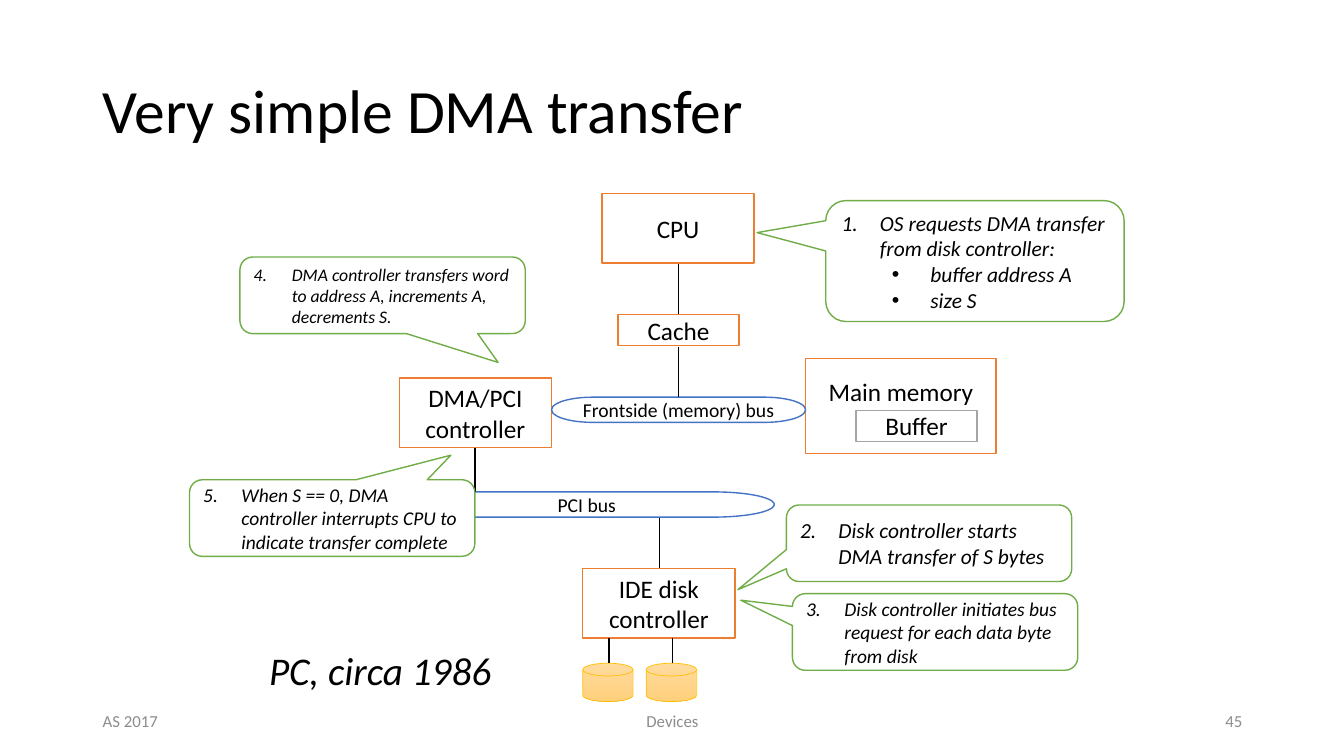
from pptx import Presentation
from pptx.dml.color import RGBColor
from pptx.enum.shapes import MSO_CONNECTOR, MSO_SHAPE as SHAPE
from pptx.enum.text import MSO_ANCHOR, PP_ALIGN as ALIGN
from pptx.oxml.ns import qn
from pptx.util import Inches, Pt
from lxml.etree import SubElement

COLOURS = {
    "text": "000000", "footer": "8C8C8C", "paper": "FFFFFF",
    "unit": "ED7D31", "buffer": "A5A5A5", "bus": "4472C4",
    "callout": "70AD47", "disk": "FFC000",
    "disk top": "FFDB9E", "disk bottom": "FFD07C",
}

UNITS = [  # text, left, top, width, height, line colour, bottom inset
    ("CPU", 5.97, 1.92, 1.51, 0.69, "unit", 0.05),
    ("Cache", 6.13, 3.12, 1.2, 0.31, "unit", 0.05),
    ("Main memory", 7.99, 3.56, 1.89, 0.94, "unit", 0.35),
    ("Buffer", 8.49, 4.07, 1.2, 0.31, "buffer", 0.05),
    ("DMA/PCI\ncontroller", 3.96, 3.75, 1.51, 0.69, "unit", 0.05),
    ("IDE disk controller", 5.78, 5.64, 1.51, 0.69, "unit", 0.05),
]
BUSES = [
    ("PCI bus", 3.96, 4.88, 3.72, 0.25),
    ("Frontside (memory) bus", 5.47, 3.94, 2.52, 0.25),
]
WIRES = [  # x, top, bottom
    (6.73, 2.62, 3.12), (6.73, 3.44, 3.94), (4.71, 4.44, 4.88),
    (6.54, 5.14, 5.64), (6.04, 6.33, 6.58), (6.67, 6.33, 6.58),
]
STEPS = [  # box, pointer offset, text size, step text, sub-points
    ((8.19, 1.99, 2.96, 1.2), (-0.73, -0.235), 15.3,
     "OS requests DMA transfer from disk controller:",
     ["buffer address A", "size S"]),
    ((7.8, 5.01, 2.83, 0.76), (-0.67, 0.606), 15.3,
     "Disk controller starts DMA transfer of S bytes", []),
    ((7.86, 5.89, 2.83, 0.76), (-0.681, -0.415), 13.9,
     "Disk controller initiates bus request for each data byte from disk", []),
    ((2.38, 2.55, 2.83, 0.76), (0.405, 0.877), 12.6,
     "DMA controller transfers word to address A, increments A, decrements S.", []),
    ((1.88, 4.76, 2.83, 0.76), (0.416, -0.821), 13.9,
     "When S == 0, DMA controller interrupts CPU to indicate transfer complete", []),
]
FOOTERS = [
    ("AS 2017", 0.92, 3, ALIGN.LEFT),
    ("Devices", 4.42, 4.5, ALIGN.CENTER),
    ("45", 9.42, 3, ALIGN.RIGHT),
]


def colour(name):
    return RGBColor.from_string(COLOURS[name])


def inches(values):
    return [Inches(value) for value in values]


def write(shape, lines, size, align=ALIGN.CENTER, ink="text", italic=False,
          wrap=True, anchor=MSO_ANCHOR.MIDDLE, spacing=None):
    """Fill the shape with one paragraph per line and return the paragraphs."""
    frame = shape.text_frame
    frame.text = "\n".join(lines)
    frame.word_wrap = wrap
    frame.vertical_anchor = anchor
    font_format = {"name": "Calibri", "size": Pt(size), "italic": italic}
    for paragraph in frame.paragraphs:
        paragraph.alignment = align
        if spacing:
            paragraph.line_spacing = spacing
        for run in paragraph.runs:
            for attribute, value in font_format.items():
                setattr(run.font, attribute, value)
            run.font.color.rgb = colour(ink)
    return frame.paragraphs


def add_outlined(slide, kind, box, line, width=1):
    shape = slide.shapes.add_shape(kind, *inches(box))
    shape.shadow.inherit = False
    shape.fill.solid()
    shape.fill.fore_color.rgb = colour("paper")
    shape.line.color.rgb = colour(line)
    shape.line.width = Pt(width)
    return shape


def add_label(slide, text, box, size, **text_format):
    write(slide.shapes.add_textbox(*inches(box)), [text], size, **text_format)


def add_disk(slide, left):
    disk = add_outlined(slide, SHAPE.FLOWCHART_MAGNETIC_DISK,
                        (left, 6.58, 0.5, 0.38), "disk", 0.5)
    disk.fill.gradient()
    disk.fill.gradient_angle = 270
    for stop, name in zip(disk.fill.gradient_stops, ("disk top", "disk bottom")):
        stop.color.rgb = colour(name)


def add_wire(slide, x, top, bottom):
    wire = slide.shapes.add_connector(MSO_CONNECTOR.STRAIGHT,
                                      *inches((x, top, x, bottom)))
    wire.line.color.rgb = colour("text")
    wire.line.width = Pt(1)
    SubElement(wire.element.spPr, qn("a:effectLst"))


def set_bullet(paragraph, indent, tag, **attributes):
    """Give the paragraph a hanging bullet or number."""
    properties = paragraph._p.get_or_add_pPr()
    properties.set("marL", str(Inches(indent)))
    properties.set("indent", str(-Inches(0.38)))
    font = "Arial" if tag == "a:buChar" else "Calibri"
    SubElement(properties, qn("a:buFont"), typeface=font)
    SubElement(properties, qn(tag), **attributes)


def add_step(slide, number, box, pointer, size, text, points):
    callout = add_outlined(slide, SHAPE.ROUNDED_RECTANGULAR_CALLOUT, box, "callout")
    for index, value in enumerate((*pointer, 0.167)):
        callout.adjustments[index] = value
    heading, *bullets = write(callout, [text, *points], size, ALIGN.LEFT, italic=True)
    set_bullet(heading, 0.38, "a:buAutoNum", type="arabicPeriod", startAt=str(number))
    for paragraph in bullets:
        paragraph.level = 1
        set_bullet(paragraph, 0.88, "a:buChar", char="•")


def main():
    presentation = Presentation()
    presentation.slide_width = Inches(13.33)
    presentation.slide_height = Inches(7.5)
    slide = presentation.slides.add_slide(presentation.slide_layouts[6])

    add_label(slide, "Very simple DMA transfer", (0.92, 0.4, 11.5, 1.45), 44,
              align=ALIGN.LEFT, spacing=0.9)
    for text, left, top, width, height, line, bottom_inset in UNITS:
        unit = add_outlined(slide, SHAPE.RECTANGLE, (left, top, width, height), line)
        unit.text_frame.margin_bottom = Inches(bottom_inset)
        write(unit, text.split("\n"), 18)
    for left in (5.78, 6.41):
        add_disk(slide, left)
    for text, *box in BUSES:
        write(add_outlined(slide, SHAPE.FLOWCHART_TERMINATOR, box, "bus"), [text], 14)
    for wire in WIRES:
        add_wire(slide, *wire)
    for number, step in enumerate(STEPS, start=1):
        add_step(slide, number, *step)
    for text, left, width, align in FOOTERS:
        add_label(slide, text, (left, 6.95, width, 0.4), 12, align=align, ink="footer")
    add_label(slide, "PC, circa 1986", (2.57, 6.36, 2.43, 0.57), 28,
              align=ALIGN.LEFT, italic=True, wrap=False, anchor=MSO_ANCHOR.TOP)

    presentation.save("out.pptx")


if __name__ == "__main__":
    main()
